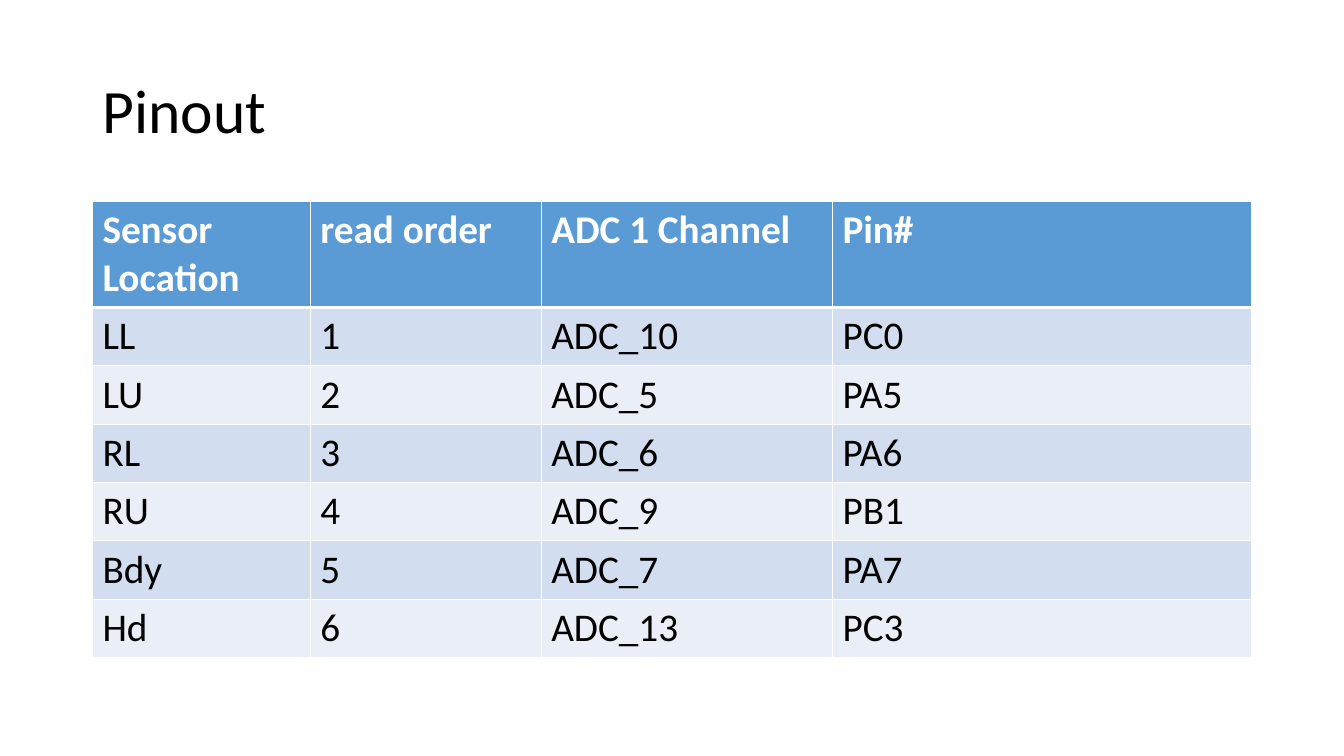
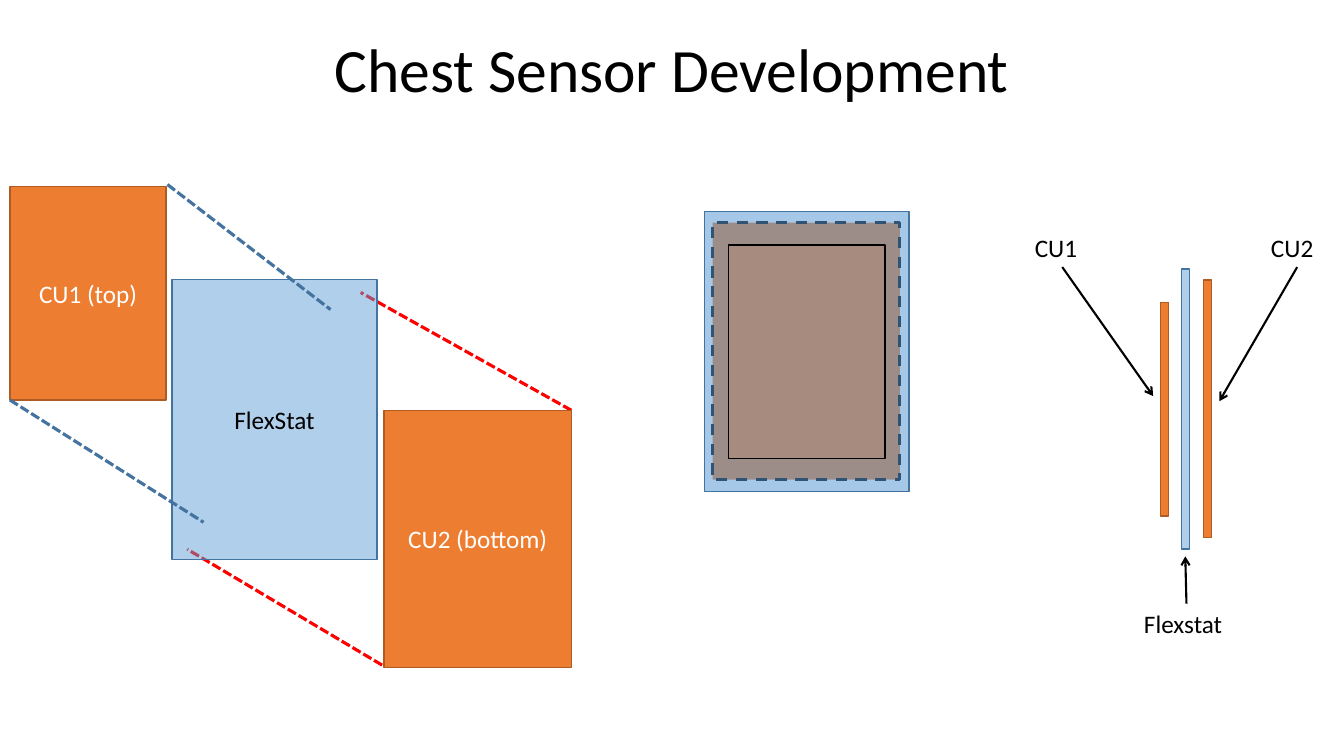
"""Build two slides about a pressure sensor: its pinout and its layers."""
from lxml.etree import SubElement
from pptx import Presentation
from pptx.dml.color import RGBColor
from pptx.enum.dml import MSO_LINE
from pptx.enum.shapes import MSO_CONNECTOR, MSO_SHAPE
from pptx.enum.text import MSO_ANCHOR, MSO_AUTO_SIZE, PP_ALIGN
from pptx.oxml.ns import qn
from pptx.util import Cm, Pt

FONT = "Calibri"
BLACK, WHITE, RED = "000000", "FFFFFF", "FF0000"
BLUE, DARK_BLUE = "5B9BD5", "43739E"
ORANGE, DARK_ORANGE = "ED7D31", "AF5C24"
BANDS = ("D2DEEF", "EAEFF7")
TITLE_LEFT, TITLE_WIDTH, TITLE_HEIGHT = 2.33, 29.21, 3.68

PINOUT = [
    ("Sensor Location", "read order", "ADC 1 Channel", "Pin#"),
    ("LL", "1", "ADC_10", "PC0"),
    ("LU", "2", "ADC_5", "PA5"),
    ("RL", "3", "ADC_6", "PA6"),
    ("RU", "4", "ADC_9", "PB1"),
    ("Bdy", "5", "ADC_7", "PA7"),
    ("Hd", "6", "ADC_13", "PC3"),
]
COLUMN_WIDTHS = (5.49, 5.82, 7.34, 10.56)
ROW_HEIGHT = 1.47

TOP_SIZE, FILM_SIZE, BOTTOM_SIZE = (3.94, 5.38), (5.16, 7.06), (4.72, 6.48)
EDGE_WIDTH = 0.21
ORANGE_STYLE = dict(fill=ORANGE, line=DARK_ORANGE)
FILM_STYLE = dict(fill=BLUE, line=DARK_BLUE, opacity=48)


def color(code):
    return RGBColor.from_string(code)


def add_run(paragraph, text, size, code=BLACK, bold=False):
    run = paragraph.add_run()
    run.text = text
    run.font.name = FONT
    run.font.size = Pt(size)
    run.font.bold = bold
    run.font.color.rgb = color(code)


def add_titled_slide(presentation, text, top, alignment):
    slide = presentation.slides.add_slide(presentation.slide_layouts[5])
    title = slide.shapes.title
    title.left, title.top = Cm(TITLE_LEFT), Cm(top)
    title.width, title.height = Cm(TITLE_WIDTH), Cm(TITLE_HEIGHT)
    frame = title.text_frame
    frame.auto_size = MSO_AUTO_SIZE.NONE
    frame.vertical_anchor = MSO_ANCHOR.MIDDLE
    paragraph = frame.paragraphs[0]
    paragraph.alignment = alignment
    paragraph.line_spacing = 0.9
    add_run(paragraph, text, 44)
    return slide


def set_borders(cell, bottom_width):
    properties = cell._tc.get_or_add_tcPr()
    widths = {"a:lnL": 1, "a:lnR": 1, "a:lnT": 1, "a:lnB": bottom_width}
    for index, (tag, width) in enumerate(widths.items()):
        border = SubElement(properties, qn(tag), w=str(Pt(width)))
        properties.insert(index, border)
        fill = SubElement(border, qn("a:solidFill"))
        SubElement(fill, qn("a:srgbClr"), val=WHITE)


def add_table(slide, rows, left, top):
    frame = slide.shapes.add_table(
        len(rows), len(COLUMN_WIDTHS), Cm(left), Cm(top),
        Cm(sum(COLUMN_WIDTHS)), Cm(ROW_HEIGHT * len(rows)))
    table = frame.table
    for column, width in zip(table.columns, COLUMN_WIDTHS):
        column.width = Cm(width)
    for row_index, values in enumerate(rows):
        table.rows[row_index].height = Cm(ROW_HEIGHT)
        header = row_index == 0
        for column_index, value in enumerate(values):
            cell = table.cell(row_index, column_index)
            cell.fill.solid()
            cell.fill.fore_color.rgb = color(BLUE if header else BANDS[(row_index - 1) % 2])
            set_borders(cell, 3 if header else 1)
            add_run(cell.text_frame.paragraphs[0], value, 28,
                    WHITE if header else BLACK, header)


def add_layer(slide, left, top, size, fill, line, opacity=100, line_width=1,
              dash=None, text="", text_color=WHITE):
    width, height = size
    shape = slide.shapes.add_shape(
        MSO_SHAPE.RECTANGLE, Cm(left), Cm(top), Cm(width), Cm(height))
    shape.shadow.inherit = False
    shape.fill.solid()
    shape.fill.fore_color.rgb = color(fill)
    if opacity < 100:
        fill_color = shape._element.spPr.find(qn("a:solidFill")).find(qn("a:srgbClr"))
        SubElement(fill_color, qn("a:alpha"), val=str(opacity * 1000))
    shape.line.color.rgb = color(line)
    shape.line.width = Pt(line_width)
    if dash:
        shape.line.dash_style = dash
    if text:
        shape.text_frame.vertical_anchor = MSO_ANCHOR.MIDDLE
        paragraph = shape.text_frame.paragraphs[0]
        paragraph.alignment = PP_ALIGN.CENTER
        add_run(paragraph, text, 18, text_color)


def add_label(slide, text, left, top, width):
    box = slide.shapes.add_textbox(Cm(left), Cm(top), Cm(width), Cm(1.02))
    box.text_frame.word_wrap = True
    add_run(box.text_frame.paragraphs[0], text, 18)


def add_line(slide, start, end, code, width):
    connector = slide.shapes.add_connector(
        MSO_CONNECTOR.STRAIGHT, *(Cm(value) for value in start + end))
    connector.line.color.rgb = color(code)
    connector.line.width = Pt(width)
    SubElement(connector._element.spPr, qn("a:effectLst"))
    return connector


def add_guide(slide, start, end, code):
    add_line(slide, start, end, code, 2.25).line.dash_style = MSO_LINE.SQUARE_DOT


def add_arrow(slide, start, end):
    connector = add_line(slide, start, end, BLACK, 1.5)
    SubElement(connector.line._get_or_add_ln(), qn("a:tailEnd"), type="arrow")


def add_exploded_view(slide):
    add_guide(slide, (9.63, 16.76), (4.72, 13.84), RED)
    add_guide(slide, (14.4, 10.34), (9.09, 7.37), RED)
    add_layer(slide, 9.68, 10.34, BOTTOM_SIZE, text="CU2 (bottom)", **ORANGE_STYLE)
    add_layer(slide, 4.34, 7.04, FILM_SIZE, text="FlexStat", text_color=BLACK, **FILM_STYLE)
    add_layer(slide, 0.25, 4.7, TOP_SIZE, text="CU1 (top)", **ORANGE_STYLE)
    add_guide(slide, (4.22, 4.65), (8.33, 7.8), DARK_BLUE)
    add_guide(slide, (0.25, 10.08), (5.13, 13.16), DARK_BLUE)


def add_stacked_view(slide):
    add_layer(slide, 17.96, 5.61, BOTTOM_SIZE, ORANGE, BLACK,
              line_width=2, dash=MSO_LINE.DASH)
    add_layer(slide, 17.75, 5.33, FILM_SIZE, BLUE, DARK_BLUE, opacity=54)
    add_layer(slide, 18.36, 6.17, TOP_SIZE, ORANGE, BLACK, opacity=12)


def add_side_view(slide):
    for left, top, size, style in (
            (30.33, 7.06, BOTTOM_SIZE, ORANGE_STYLE),
            (29.77, 6.78, FILM_SIZE, FILM_STYLE),
            (29.24, 7.62, TOP_SIZE, ORANGE_STYLE)):
        add_layer(slide, left, top, (EDGE_WIDTH, size[1]), **style)
    add_label(slide, "CU1", 25.83, 5.72, 1.88)
    add_label(slide, "CU2", 31.78, 5.72, 1.88)
    add_label(slide, "Flexstat", 28.58, 15.21, 2.62)
    add_arrow(slide, (26.77, 6.73), (29.06, 9.98))
    add_arrow(slide, (32.69, 6.73), (30.73, 10.11))
    add_arrow(slide, (29.9, 15.21), (29.87, 14.02))


def main():
    presentation = Presentation()
    presentation.slide_width, presentation.slide_height = Cm(33.87), Cm(19.05)
    pinout = add_titled_slide(presentation, "Pinout", 1.01, PP_ALIGN.LEFT)
    add_table(pinout, PINOUT, TITLE_LEFT, 5.08)
    chest = add_titled_slide(presentation, "Chest Sensor Development", 0, PP_ALIGN.CENTER)
    add_exploded_view(chest)
    add_stacked_view(chest)
    add_side_view(chest)
    presentation.save("out.pptx")


main()
